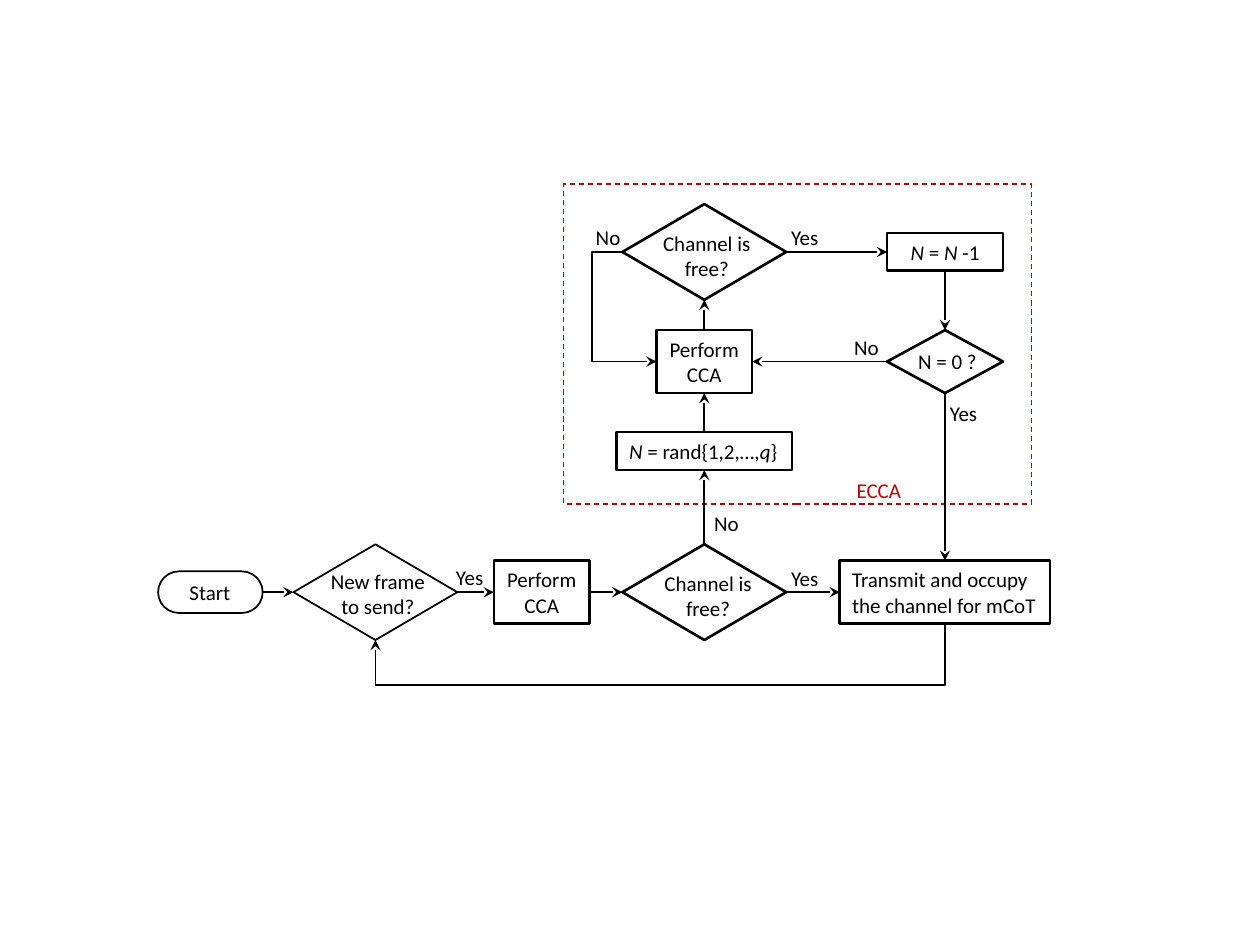
import pptx
import pptx.dml.color
import pptx.enum.dml
import pptx.enum.shapes
import pptx.enum.text
import pptx.oxml
import pptx.oxml.ns
import pptx.util
from dataclasses import dataclass
from typing import Any

SHAPE = pptx.enum.shapes.MSO_SHAPE
CONNECTOR = pptx.enum.shapes.MSO_CONNECTOR
ALIGN = pptx.enum.text.PP_ALIGN
ANCHOR = pptx.enum.text.MSO_ANCHOR
inches = pptx.util.Inches
TOP, LEFT, BOTTOM, RIGHT = range(4)  # connection sites of a shape


@dataclass(frozen=True)
class Theme:
    """Colours, font and line widths of the slide."""
    ink: str = "000000"
    accent: str = "C00000"
    font: str = "Calibri"
    size: float = 12
    bold_line: float = 1.5
    line: float = 1
    thin_line: float = 0.75


THEME = Theme()

# Grid of the chart: centres of the columns and rows, in inches
COLUMN = {"start": 1.67, "frame": 2.98, "check": 4.3, "channel": 5.59, "count": 7.5}
ROW = {"decide": 2.0, "repeat": 2.87, "random": 3.58, "main": 4.7}


@dataclass(frozen=True)
class Node:
    """A step of the chart, centred on a column and a row."""
    name: str
    column: str
    row: str
    width: float
    height: float
    kind: Any = SHAPE.RECTANGLE
    text: str = ""
    line: float = THEME.bold_line
    align: Any = ALIGN.CENTER
    wrap: bool = False


@dataclass(frozen=True)
class Caption:
    """Free text centred on a point."""
    text: str
    x: float
    y: float
    width: float
    height: float = 0.3
    color: str = THEME.ink
    align: Any = ALIGN.LEFT


@dataclass(frozen=True)
class Arrow:
    """A straight arrow between two nodes."""
    source: str
    source_side: int
    target: str
    target_side: int


NODES = [
    Node("start", "start", "main", 0.83, 0.33, SHAPE.ROUNDED_RECTANGLE, line=THEME.line),
    Node("frame", "frame", "main", 1.3, 0.76, SHAPE.DIAMOND, line=THEME.line),
    Node("check", "check", "main", 0.76, 0.5, text="Perform\nCCA"),
    Node("channel", "channel", "main", 1.3, 0.76, SHAPE.DIAMOND),
    Node("transmit", "count", "main", 1.67, 0.5, align=ALIGN.LEFT,
         text="Transmit and occupy\vthe channel for mCoT"),
    Node("random", "channel", "random", 1.39, 0.3, text="*N* = rand{1,2,…,*q*}",
         align=ALIGN.LEFT),
    Node("recheck", "channel", "repeat", 0.76, 0.5, text="Perform\nCCA"),
    Node("rechannel", "channel", "decide", 1.3, 0.76, SHAPE.DIAMOND),
    Node("decrement", "count", "decide", 0.92, 0.3, text="*N* = *N *-1", wrap=True),
    Node("zero", "count", "repeat", 0.92, 0.5, SHAPE.DIAMOND),
]

ARROWS = [
    Arrow("start", RIGHT, "frame", LEFT),
    Arrow("frame", RIGHT, "check", LEFT),
    Arrow("check", RIGHT, "channel", LEFT),
    Arrow("channel", RIGHT, "transmit", LEFT),
    Arrow("channel", TOP, "random", BOTTOM),
    Arrow("random", TOP, "recheck", BOTTOM),
    Arrow("recheck", TOP, "rechannel", BOTTOM),
    Arrow("rechannel", RIGHT, "decrement", LEFT),
    Arrow("decrement", BOTTOM, "zero", TOP),
    Arrow("zero", LEFT, "recheck", RIGHT),
    Arrow("zero", BOTTOM, "transmit", TOP),
]

CAPTIONS = [
    Caption("Start", COLUMN["start"], ROW["main"], 0.53),
    Caption("New frame\vto send?", 3.0, 4.71, 0.96, 0.5, align=ALIGN.CENTER),
    Caption("Channel is\vfree?", 5.62, 4.73, 0.9, 0.5, align=ALIGN.CENTER),
    Caption("Channel is\vfree?", 5.61, 2.03, 0.9, 0.5, align=ALIGN.CENTER),
    Caption("N = 0 ?", 7.52, ROW["repeat"], 0.67, align=ALIGN.CENTER),
    Caption("Yes", 3.73, 4.58, 0.42),
    Caption("Yes", 6.39, 4.59, 0.42),
    Caption("Yes", 6.39, 1.88, 0.42),
    Caption("Yes", 7.65, 3.28, 0.42),
    Caption("No", 5.77, 4.15, 0.4),
    Caption("No", 4.83, 1.88, 0.4),
    Caption("No", 6.88, 2.76, 0.4),
    Caption("ECCA", 6.98, 3.89, 0.56, color=THEME.accent),
]


def rgb(color: str) -> pptx.dml.color.RGBColor:
    """Turn a hex string into a colour."""
    return pptx.dml.color.RGBColor.from_string(color)


def write_text(shape: Any, text: str, *, align: Any, color: str = THEME.ink,
               wrap: bool = False, anchor: Any = ANCHOR.TOP) -> None:
    """Write text; asterisks enclose italics, a vertical tab breaks a line."""
    frame = shape.text_frame
    frame.word_wrap = wrap
    frame.auto_size = pptx.enum.text.MSO_AUTO_SIZE.SHAPE_TO_FIT_TEXT
    frame.vertical_anchor = anchor
    for number, content in enumerate(text.split("\n")):
        para = frame.add_paragraph() if number else frame.paragraphs[0]
        para.alignment = align
        for line_number, line in enumerate(content.split("\v")):
            if line_number:
                para.add_line_break()
            for part, words in enumerate(line.split("*")):
                if words:
                    span = para.add_run()
                    span.text = words
                    span.font.name = THEME.font
                    span.font.size = pptx.util.Pt(THEME.size)
                    span.font.italic = part % 2 == 1
                    span.font.color.rgb = rgb(color)


def add_outline(page: Any, kind: Any, x: float, y: float, width: float,
                height: float, line: float, color: str = THEME.ink) -> Any:
    """Add an unfilled shape centred on a point."""
    box = page.shapes.add_shape(kind, inches(x - width / 2), inches(y - height / 2),
                                inches(width), inches(height))
    box.shadow.inherit = False
    box.fill.background()
    box.line.color.rgb = rgb(color)
    box.line.width = pptx.util.Pt(line)
    return box


def add_node(page: Any, node: Node) -> Any:
    """Draw a step and its text."""
    box = add_outline(page, node.kind, COLUMN[node.column], ROW[node.row],
                      node.width, node.height, node.line)
    if node.kind == SHAPE.ROUNDED_RECTANGLE:
        box.adjustments[0] = 0.5
    if node.text:
        write_text(box, node.text, align=node.align, wrap=node.wrap, anchor=ANCHOR.MIDDLE)
    return box


def add_caption(page: Any, caption: Caption) -> None:
    """Draw free text."""
    box = page.shapes.add_textbox(
        inches(caption.x - caption.width / 2), inches(caption.y - caption.height / 2),
        inches(caption.width), inches(caption.height))
    write_text(box, caption.text, align=caption.align, color=caption.color)


def add_arrow(page: Any, kind: Any, x1: float = 0, y1: float = 0,
              x2: float = 0, y2: float = 0) -> Any:
    """Draw a connector with a stealth head at its end."""
    arrow = page.shapes.add_connector(kind, inches(x1), inches(y1), inches(x2), inches(y2))
    arrow.line.color.rgb = rgb(THEME.ink)
    arrow.line.width = pptx.util.Pt(THEME.line)
    line = arrow.line._get_or_add_ln()
    line.append(pptx.oxml.parse_xml(
        f'<a:tailEnd {pptx.oxml.ns.nsdecls("a")} type="stealth"/>'))
    arrow._element.spPr.append(pptx.oxml.parse_xml(
        f'<a:effectLst {pptx.oxml.ns.nsdecls("a")}/>'))
    return arrow


def add_loop(page: Any, x1: float, y1: float, x2: float, y2: float,
             bend: float, vertical: bool = False) -> None:
    """Draw a bent arrow whose middle part lies at the coordinate bend."""
    share = (bend - y1) / (y2 - y1) if vertical else (bend - x1) / (x2 - x1)
    if vertical:  # a quarter turn swaps the extents around the centre
        x, y, across, along = (x1 + x2) / 2, (y1 + y2) / 2, (y2 - y1) / 2, (x1 - x2) / 2
        x1, y1, x2, y2 = x - across, y - along, x + across, y + along
    loop = add_arrow(page, CONNECTOR.ELBOW, x1, y1, x2, y2)
    properties = loop._element.spPr
    if vertical:
        properties.find(pptx.oxml.ns.qn("a:xfrm")).set("rot", "5400000")
    guides = properties.find(".//" + pptx.oxml.ns.qn("a:avLst"))
    guides.append(pptx.oxml.parse_xml(
        f'<a:gd {pptx.oxml.ns.nsdecls("a")} name="adj1" fmla="val {round(share * 100000)}"/>'))


def main() -> None:
    """Build the flow chart."""
    deck = pptx.Presentation()
    deck.slide_width, deck.slide_height = inches(10), inches(7.5)
    page = deck.slides.add_slide(deck.slide_layouts[6])
    region = add_outline(page, SHAPE.RECTANGLE, 6.33, 2.73, 3.71, 2.54,
                         THEME.thin_line, THEME.accent)
    region.line.dash_style = pptx.enum.dml.MSO_LINE.DASH
    boxes = {node.name: add_node(page, node) for node in NODES}
    for arrow in ARROWS:
        link = add_arrow(page, CONNECTOR.STRAIGHT)
        link.begin_connect(boxes[arrow.source], arrow.source_side)
        link.end_connect(boxes[arrow.target], arrow.target_side)
    add_loop(page, 4.94, ROW["decide"], 5.21, ROW["repeat"], 4.7)
    add_loop(page, COLUMN["count"], 4.95, COLUMN["frame"], 5.08, 5.44, vertical=True)
    for caption in CAPTIONS:
        add_caption(page, caption)
    deck.save("out.pptx")


main()
